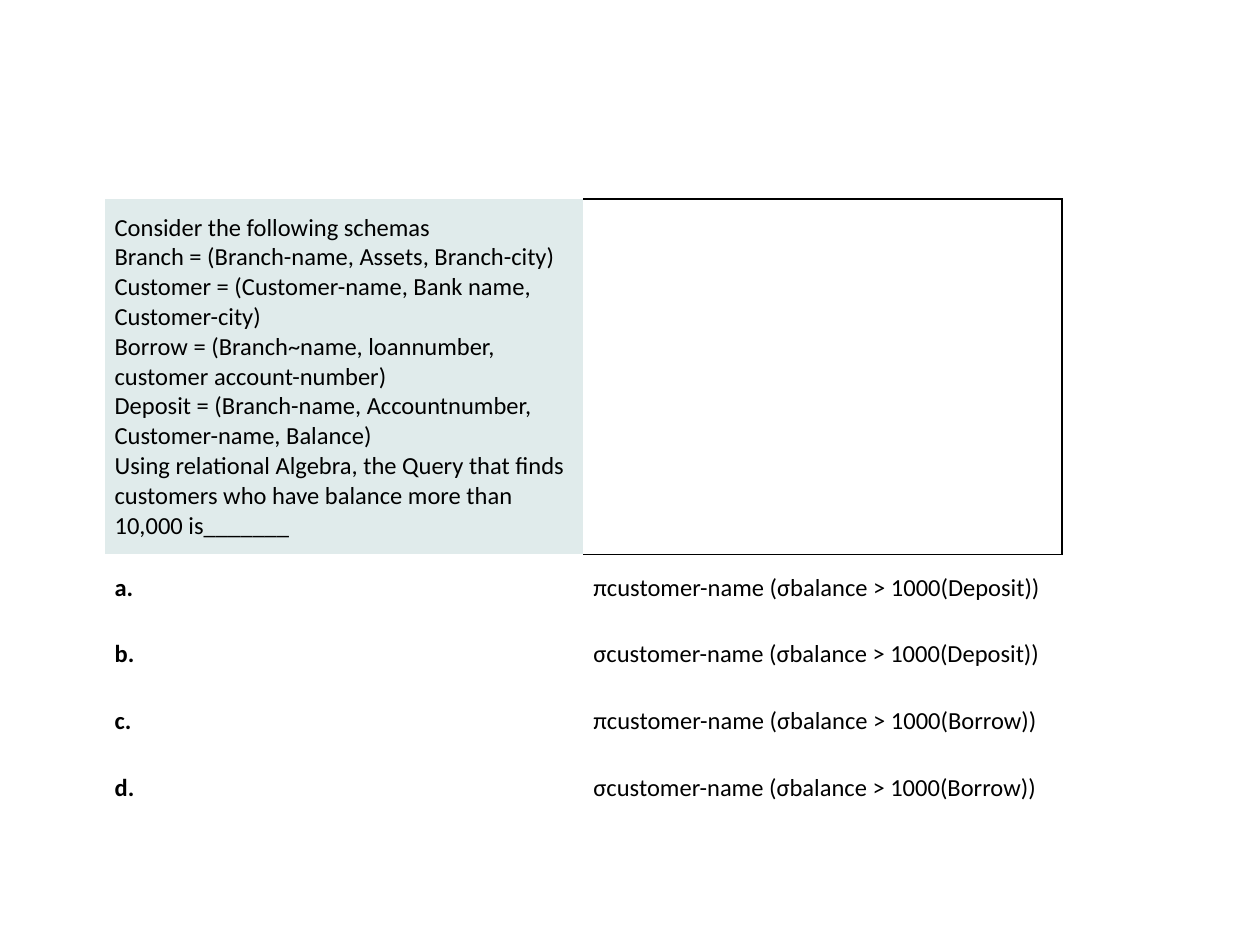
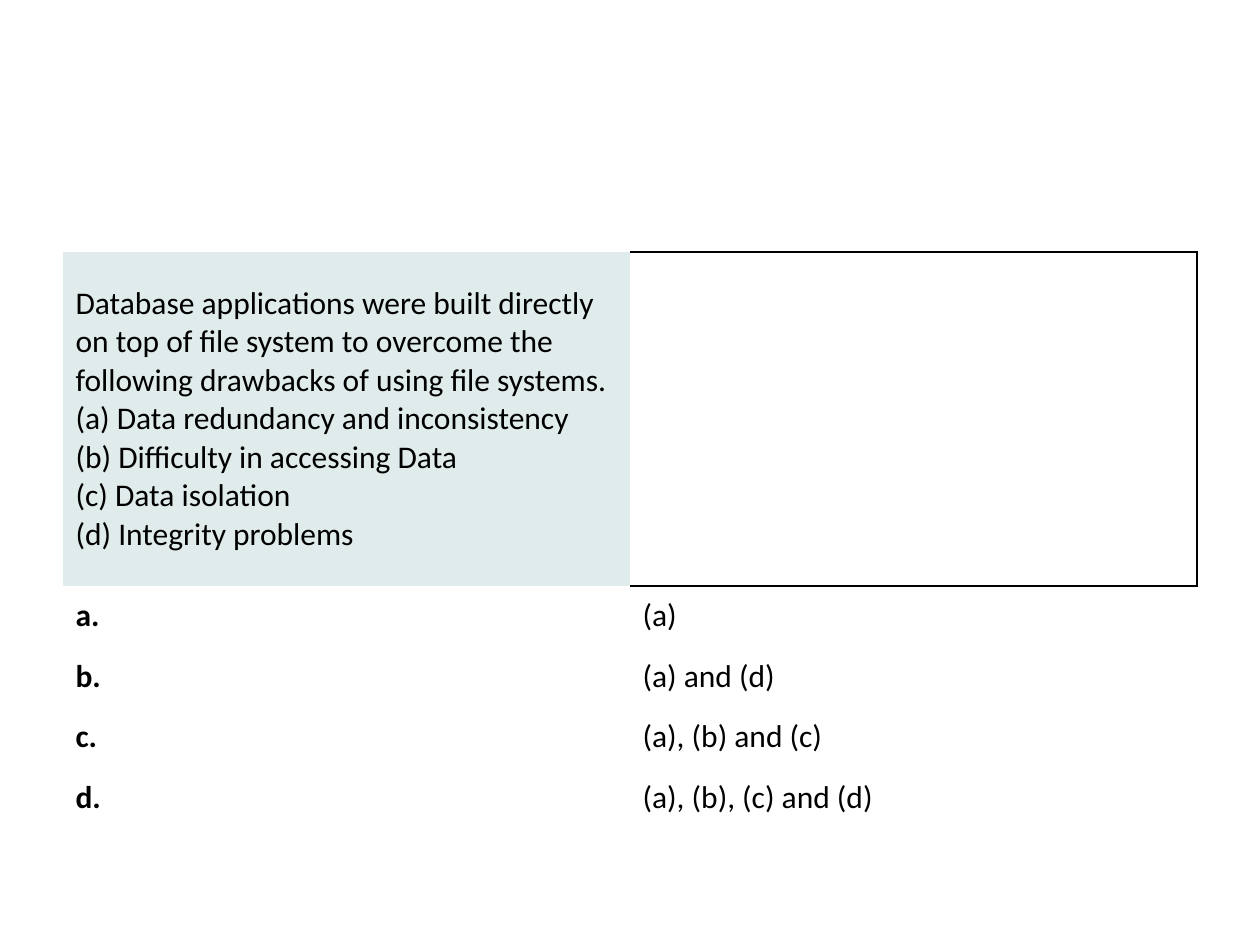
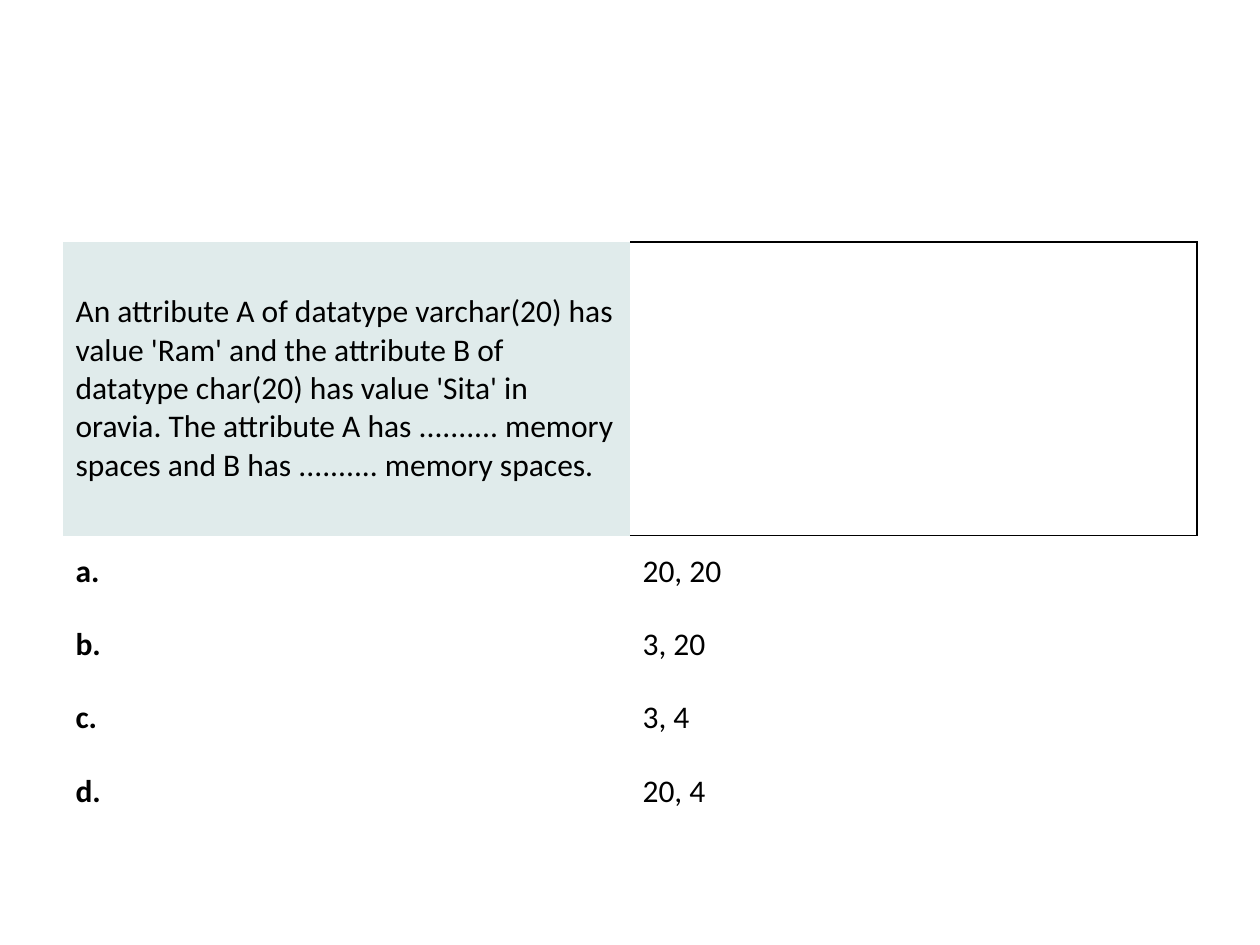
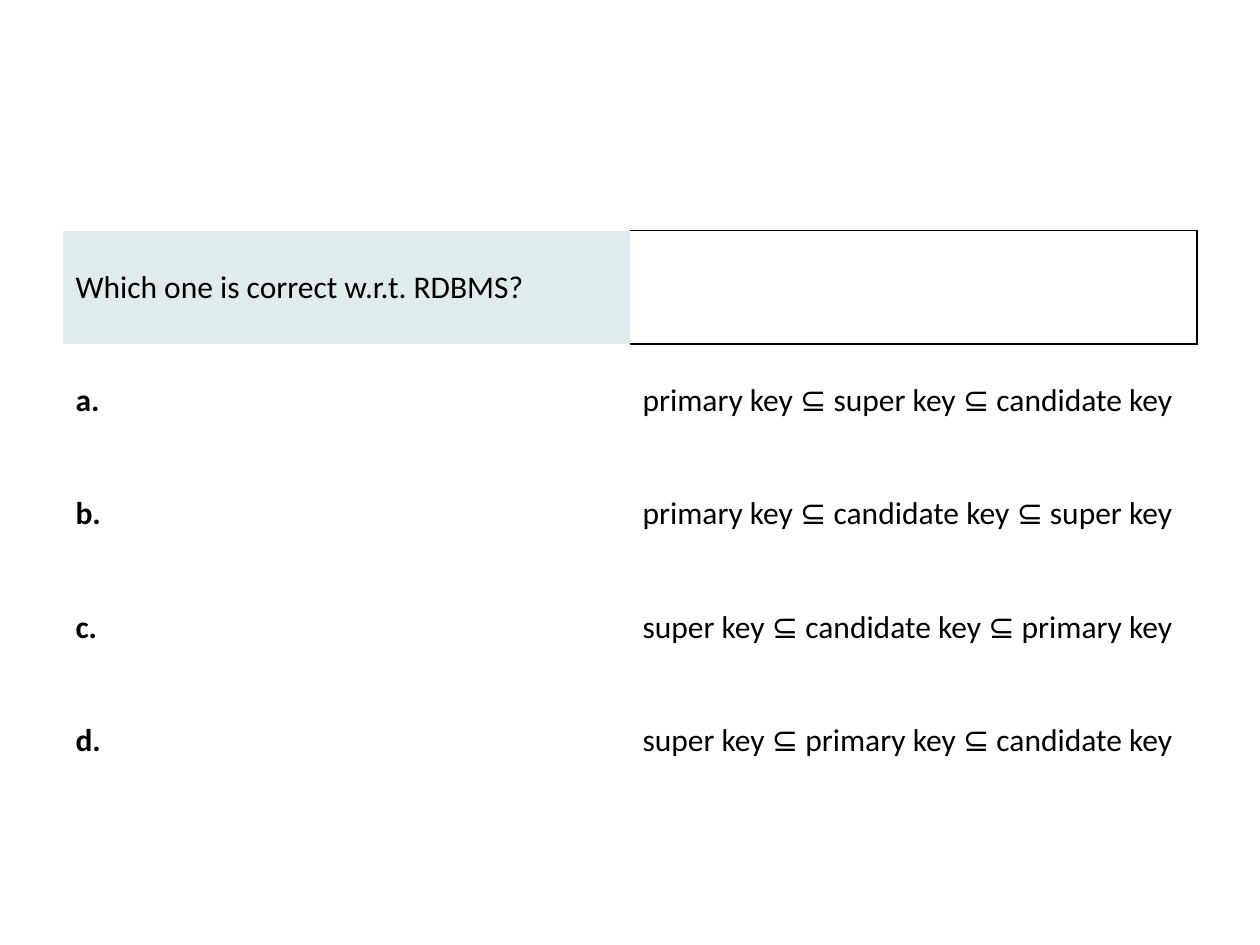
import lxml.etree
import pptx
import pptx.dml.color
import pptx.enum.text
import pptx.oxml.ns
import pptx.util

BLACK = pptx.dml.color.RGBColor(0x00, 0x00, 0x00)
QUESTION_FILL = pptx.dml.color.RGBColor(0xE0, 0xEB, 0xEB)
FONT = "Calibri"
PLAIN_TABLE_STYLE = "{2D5ABB26-0587-4C30-8999-92F81FD0307C}"
LETTERS = ["a.", "b.", "c.", "d."]
BORDER_SIDES = ["lnR", "lnT", "lnB"]
BORDER_WIDTH = pptx.util.Pt(1)

WIDE = {"left": 0.5, "column": 4.5, "size": 18, "margins": (0.1, 0.05)}
COMPACT = {"left": 0.83, "column": 3.8, "size": 14, "margins": (0.08, 0.04)}

QUIZ = [
    {
        "layout": COMPACT, "top": 1.58, "question_row": 2.82, "answer_row": 0.53,
        "question": [
            "Consider the following schemas",
            "Branch = (Branch-name, Assets, Branch-city)",
            "Customer = (Customer-name, Bank name, Customer-city)",
            "Borrow = (Branch~name, loannumber, customer account-number)",
            "Deposit = (Branch-name, Accountnumber,",
            "Customer-name, Balance)",
            "Using relational Algebra, the Query that finds customers who have "
            "balance more than 10,000 is_______",
        ],
        "answers": [
            "πcustomer-name (σbalance > 1000(Deposit))",
            "σcustomer-name (σbalance > 1000(Deposit))",
            "πcustomer-name (σbalance > 1000(Borrow))",
            "σcustomer-name (σbalance > 1000(Borrow))",
        ],
    },
    {
        "layout": WIDE, "top": 2, "question_row": 2.65, "answer_row": 0.48,
        "question": [
            "Database applications were built directly on top of file system to "
            "overcome the following drawbacks of using file systems.",
            "(a) Data redundancy and inconsistency",
            "(b) Difficulty in accessing Data",
            "(c) Data isolation",
            "(d) Integrity problems",
        ],
        "answers": ["(a)", "(a) and (d)", "(a), (b) and (c)", "(a), (b), (c) and (d)"],
    },
    {
        "layout": WIDE, "top": 1.92, "question_row": 2.33, "answer_row": 0.58,
        "question": [
            "An attribute A of datatype varchar(20) has value 'Ram' and the "
            "attribute B of datatype char(20) has value 'Sita' in oravia. "
            "The attribute A has .......... memory spaces and B has .......... "
            "memory spaces.",
        ],
        "answers": ["20, 20", "3, 20", "3, 4", "20, 4"],
    },
    {
        "layout": WIDE, "top": 1.83, "question_row": 0.9, "answer_row": 0.9,
        "question": ["Which one is correct w.r.t. RDBMS?"],
        "answers": [
            "primary key ⊆ super key ⊆ candidate key",
            "primary key ⊆ candidate key ⊆ super key",
            "super key ⊆ candidate key ⊆ primary key",
            "super key ⊆ primary key ⊆ candidate key",
        ],
    },
]


def write_cell(cell, text, layout, bold=False):
    across, down = (pptx.util.Inches(margin) for margin in layout["margins"])
    cell.margin_left = cell.margin_right = across
    cell.margin_top = cell.margin_bottom = down
    cell.vertical_anchor = pptx.enum.text.MSO_ANCHOR.MIDDLE
    para = cell.text_frame.paragraphs[0]
    para.text = text
    for span in para.runs:
        span.font.name = FONT
        span.font.size = pptx.util.Pt(layout["size"])
        span.font.bold = bold
        span.font.color.rgb = BLACK


def draw_borders(cell):
    properties = cell._tc.get_or_add_tcPr()
    for position, side in enumerate(BORDER_SIDES):
        line = lxml.etree.Element(pptx.oxml.ns.qn("a:" + side), w=str(BORDER_WIDTH))
        fill = lxml.etree.SubElement(line, pptx.oxml.ns.qn("a:solidFill"))
        lxml.etree.SubElement(fill, pptx.oxml.ns.qn("a:srgbClr"), val=str(BLACK))
        properties.insert(position, line)


deck = pptx.Presentation()
deck.slide_width = pptx.util.Inches(10)
deck.slide_height = pptx.util.Inches(7.5)
blank = deck.slide_layouts[6]

for item in QUIZ:
    layout = item["layout"]
    heights = [item["question_row"]] + [item["answer_row"]] * len(LETTERS)
    page = deck.slides.add_slide(blank)
    table = page.shapes.add_table(
        len(heights), 2,
        pptx.util.Inches(layout["left"]), pptx.util.Inches(item["top"]),
        pptx.util.Inches(2 * layout["column"]), pptx.util.Inches(sum(heights)),
    ).table
    table.first_row = False
    table.horz_banding = False
    table._tbl.tblPr.find(pptx.oxml.ns.qn("a:tableStyleId")).text = PLAIN_TABLE_STYLE
    for column in table.columns:
        column.width = pptx.util.Inches(layout["column"])
    for row, height in zip(table.rows, heights):
        row.height = pptx.util.Inches(height)
    for cell in table.iter_cells():
        cell.fill.background()

    question = table.cell(0, 0)
    write_cell(question, "\n".join(item["question"]), layout)
    question.fill.solid()
    question.fill.fore_color.rgb = QUESTION_FILL
    draw_borders(table.cell(0, 1))

    for number, (letter, answer) in enumerate(zip(LETTERS, item["answers"]), start=1):
        write_cell(table.cell(number, 0), letter, layout, bold=True)
        write_cell(table.cell(number, 1), answer, layout)

deck.save("out.pptx")
